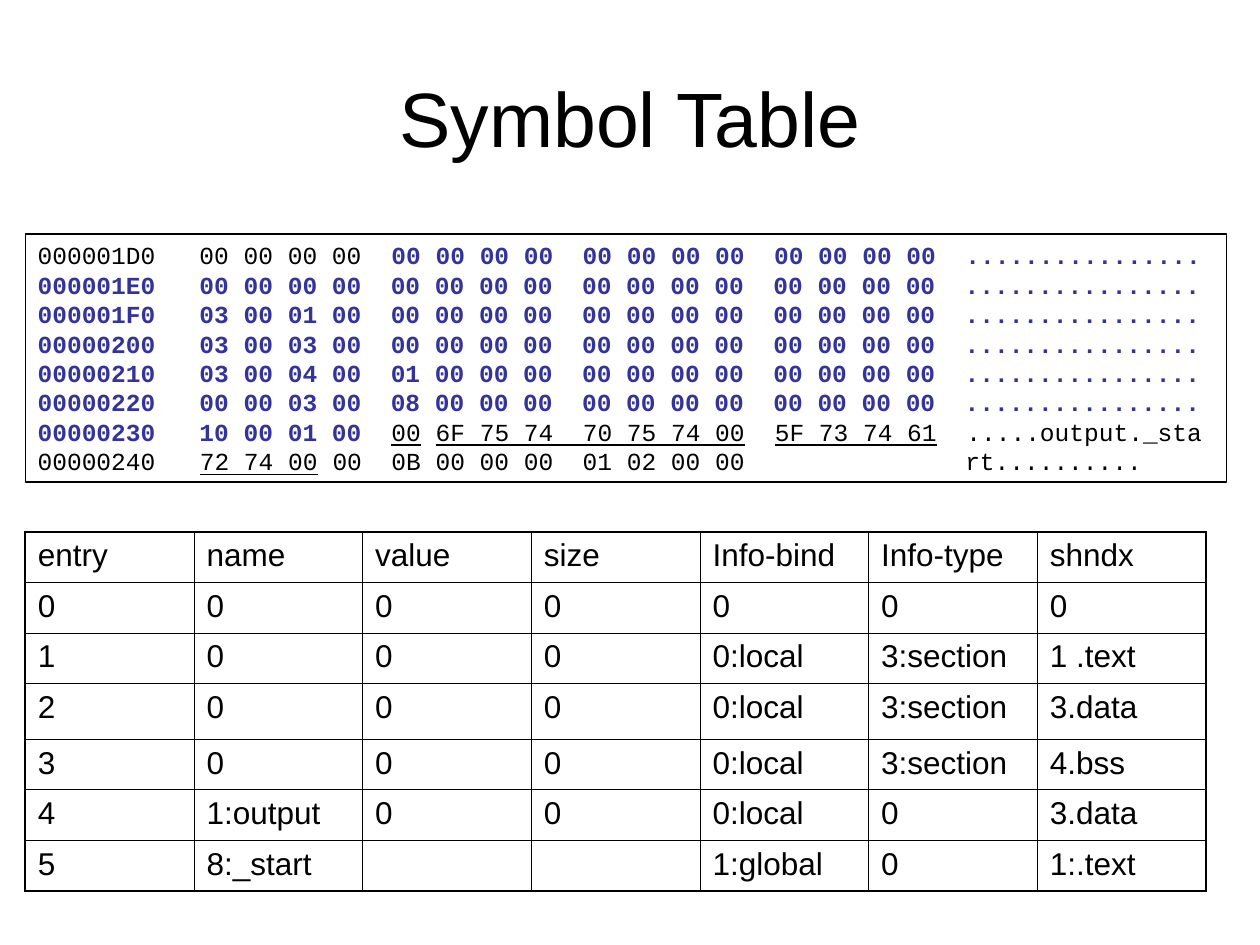
from dataclasses import dataclass

from pptx import Presentation
from pptx.dml.color import RGBColor
from pptx.enum.shapes import MSO_SHAPE
from pptx.enum.text import MSO_ANCHOR, MSO_AUTO_SIZE, PP_ALIGN
from pptx.oxml import parse_xml
from pptx.oxml.ns import nsdecls
from pptx.slide import Slide
from pptx.util import Cm, Pt

BLACK = RGBColor(0x00, 0x00, 0x00)
INDIGO = RGBColor(0x33, 0x33, 0x99)

SYMBOL_ENTRY = {"color": INDIGO, "bold": True}
STRING = {"underline": True}
PLAIN = {}

# Each line of the dump is a list of (text, format) pieces.
HEX_DUMP = [
    [("000001D0   00 00 00 00  ", PLAIN),
     ("00 00 00 00  00 00 00 00  00 00 00 00  ................", SYMBOL_ENTRY)],
    [("000001E0   00 00 00 00  00 00 00 00  00 00 00 00  00 00 00 00  ................", SYMBOL_ENTRY)],
    [("000001F0   03 00 01 00  00 00 00 00  00 00 00 00  00 00 00 00  ................", SYMBOL_ENTRY)],
    [("00000200   03 00 03 00  00 00 00 00  00 00 00 00  00 00 00 00  ................", SYMBOL_ENTRY)],
    [("00000210   03 00 04 00  01 00 00 00  00 00 00 00  00 00 00 00  ................", SYMBOL_ENTRY)],
    [("00000220   00 00 03 00  08 00 00 00  00 00 00 00  00 00 00 00  ................", SYMBOL_ENTRY)],
    [("00000230   10 00 01 00  ", SYMBOL_ENTRY), ("00", STRING), (" ", PLAIN),
     ("6F 75 74  70 75 74 00", STRING), ("  ", PLAIN),
     ("5F 73 74 61", STRING), ("  .....output._sta", PLAIN)],
    [("00000240   ", PLAIN), ("72 74 00", STRING),
     (" 00  0B 00 00 00  01 02 00 00               rt..........", PLAIN)],
]

SYMBOLS = [
    ["entry", "name", "value", "size", "Info-bind", "Info-type", "shndx"],
    ["0", "0", "0", "0", "0", "0", "0"],
    ["1", "0", "0", "0", "0:local", "3:section", "1 .text"],
    ["2", "0", "0", "0", "0:local", "3:section", "3.data"],
    ["3", "0", "0", "0", "0:local", "3:section", "4.bss"],
    ["4", "1:output", "0", "0", "0:local", "0", "3.data"],
    ["5", "8:_start", "", "", "1:global", "0", "1:.text"],
]
ROW_HEIGHTS = [1.02, 1.02, 1.02, 1.12, 1.02, 1.02, 1.02]


def add_text(paragraph, text, font="Arial", size=18, color=BLACK, bold=False, underline=False):
    run = paragraph.add_run()
    run.text = text
    run.font.name = font
    run.font.size = Pt(size)
    run.font.color.rgb = color
    run.font.bold = bold
    run.font.underline = underline


def set_borders(cell, widths):
    """Draw the left, right, top and bottom borders, with widths in points."""
    properties = cell._tc.get_or_add_tcPr()
    for position, (side, width) in enumerate(zip("LRTB", widths)):
        properties.insert(position, parse_xml(
            f'<a:ln{side} {nsdecls("a")} w="{Pt(width)}"><a:solidFill>'
            f'<a:srgbClr val="{BLACK}"/></a:solidFill></a:ln{side}>'))


@dataclass
class SlideBuilder:
    slide: Slide
    code_font: str = "Courier New"
    code_size: int = 14
    title_size: int = 44
    outer_border: float = 1.08
    inner_border: float = 0.45

    def title(self, text, left, top, width, height):
        heading = self.slide.shapes.title
        heading.left, heading.top = Cm(left), Cm(top)
        heading.width, heading.height = Cm(width), Cm(height)
        heading.text_frame.vertical_anchor = MSO_ANCHOR.MIDDLE
        paragraph = heading.text_frame.paragraphs[0]
        paragraph.alignment = PP_ALIGN.CENTER
        add_text(paragraph, text, size=self.title_size)

    def code_box(self, lines, left, top, width, height):
        box = self.slide.shapes.add_shape(
            MSO_SHAPE.RECTANGLE, Cm(left), Cm(top), Cm(width), Cm(height))
        box.shadow.inherit = False
        box.fill.background()
        box.line.color.rgb = BLACK
        box.line.width = Pt(0.75)
        frame = box.text_frame
        frame.word_wrap = True
        frame.auto_size = MSO_AUTO_SIZE.SHAPE_TO_FIT_TEXT
        frame.vertical_anchor = MSO_ANCHOR.TOP
        for number, pieces in enumerate(lines):
            paragraph = frame.add_paragraph() if number else frame.paragraphs[0]
            paragraph.alignment = PP_ALIGN.LEFT
            for text, style in pieces:
                add_text(paragraph, text, font=self.code_font, size=self.code_size, **style)

    def table(self, rows, row_heights, left, top, column_width):
        last_row, last_column = len(rows) - 1, len(rows[0]) - 1
        table = self.slide.shapes.add_table(
            len(rows), len(rows[0]), Cm(left), Cm(top),
            Cm(column_width * len(rows[0])), Cm(sum(row_heights))).table
        table.first_row = table.horz_banding = False
        for column in table.columns:
            column.width = Cm(column_width)
        for r, (values, height) in enumerate(zip(rows, row_heights)):
            table.rows[r].height = Cm(height)
            for c, value in enumerate(values):
                cell = table.cell(r, c)
                cell.fill.background()
                edges = (c == 0, c == last_column, r == 0, r == last_row)
                set_borders(cell, [self.outer_border if edge else self.inner_border
                                   for edge in edges])
                if value:
                    add_text(cell.text_frame.paragraphs[0], value)


def main():
    presentation = Presentation()
    presentation.slide_width, presentation.slide_height = Cm(25.4), Cm(19.05)
    title_only = presentation.slide_layouts[5]
    builder = SlideBuilder(presentation.slides.add_slide(title_only))
    builder.title("Symbol Table", 1.27, 0.76, 22.86, 3.18)
    builder.code_box(HEX_DUMP, 0.51, 4.72, 24.21, 5)
    builder.table(SYMBOLS, ROW_HEIGHTS, 0.51, 10.72, 3.4)
    presentation.save("out.pptx")


if __name__ == "__main__":
    main()
